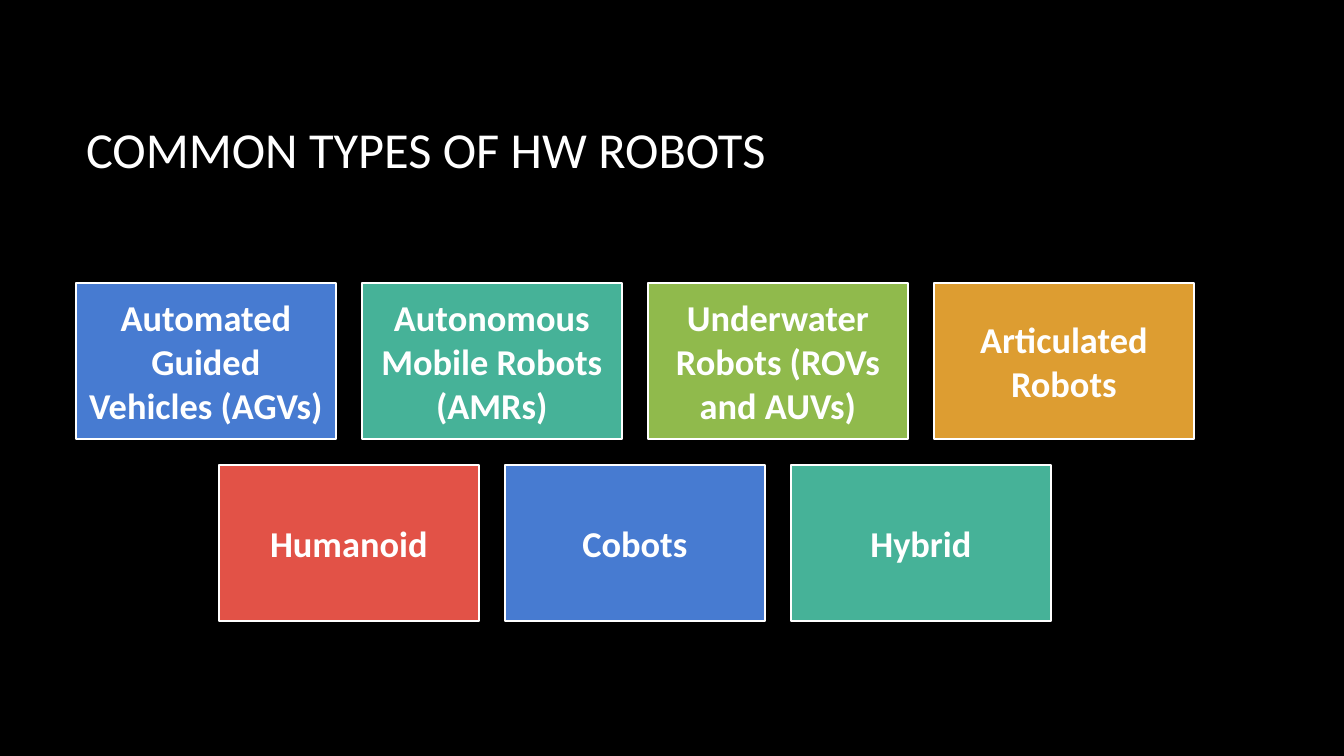
from dataclasses import dataclass
from itertools import cycle

from pptx import Presentation
from pptx import util as u
from pptx.dml.color import RGBColor
from pptx.enum import shapes, text
from pptx.slide import Slide


@dataclass(frozen=True)
class Theme:
    font: str = "Calibri"
    background: str = "000000"
    light: str = "FFFFFF"
    accents: tuple[str, ...] = ("477BD1", "46B298", "90BA4C", "DD9D31", "E25247")
    title_size: int = 36
    tile_size: int = 26
    outline: float = 1.5


@dataclass(frozen=True)
class Tile:
    label: str
    fill: str
    left: int
    top: int


THEME = Theme()
SLIDE_W, SLIDE_H = 1344, 756
MARGIN, CONTENT_W = 76, 1118
TITLE_TOP, TITLE_H = 68, 160
TILE_W, TILE_H, GAP = 260, 156, 26
TILES_TOP, TILE_INSET = 283, 11

ROBOT_ROWS = (
    (
        "Automated Guided Vehicles (AGVs)",
        "Autonomous Mobile Robots (AMRs)",
        "Underwater Robots (ROVs and AUVs)",
        "Articulated Robots",
    ),
    ("Humanoid", "Cobots", "Hybrid"),
)


def px(n: int) -> u.Emu:
    """Convert px to EMU; the slide is 756 px or 7.5 inches high."""
    return u.Emu(round(n * u.Inches(7.5) / SLIDE_H))


def rgb(value: str) -> RGBColor:
    return RGBColor.from_string(value)


def style(p, size: int, bold: bool, align: text.PP_ALIGN) -> None:
    p.alignment = align
    p.font.name = THEME.font
    p.font.size = u.Pt(size)
    p.font.bold = bold
    p.font.color.rgb = rgb(THEME.light)


def layout_tiles() -> list[Tile]:
    """Centre each row of tiles in the content width."""
    accents = cycle(THEME.accents)
    tiles = []
    for row, labels in enumerate(ROBOT_ROWS):
        row_w = len(labels) * (TILE_W + GAP) - GAP
        left = MARGIN + (CONTENT_W - row_w) // 2
        top = TILES_TOP + row * (TILE_H + GAP)
        for col, label in enumerate(labels):
            tiles.append(Tile(label, next(accents), left + col * (TILE_W + GAP), top))
    return tiles


def draw_title(s: Slide, title: str) -> None:
    sp = s.shapes.title
    sp.left, sp.top = px(MARGIN), px(TITLE_TOP)
    sp.width, sp.height = px(CONTENT_W), px(TITLE_H)
    tf = sp.text_frame
    tf.text = title
    tf.vertical_anchor = text.MSO_ANCHOR.MIDDLE
    style(tf.paragraphs[0], THEME.title_size, False, text.PP_ALIGN.LEFT)


def draw_tile(s: Slide, tile: Tile) -> None:
    sp = s.shapes.add_shape(
        shapes.MSO_SHAPE.RECTANGLE,
        px(tile.left), px(tile.top), px(TILE_W), px(TILE_H),
    )
    sp.shadow.inherit = False
    sp.fill.solid()
    sp.fill.fore_color.rgb = rgb(tile.fill)
    sp.line.color.rgb = rgb(THEME.light)
    sp.line.width = u.Pt(THEME.outline)
    tf = sp.text_frame
    tf.word_wrap = True
    tf.vertical_anchor = text.MSO_ANCHOR.MIDDLE
    tf.margin_left = tf.margin_right = px(TILE_INSET)
    tf.margin_top = tf.margin_bottom = px(TILE_INSET)
    tf.text = tile.label
    style(tf.paragraphs[0], THEME.tile_size, True, text.PP_ALIGN.CENTER)


def main() -> None:
    prs = Presentation()
    prs.slide_width, prs.slide_height = px(SLIDE_W), px(SLIDE_H)

    # Title-only slide on a black background
    s = prs.slides.add_slide(prs.slide_layouts[5])
    s.background.fill.solid()
    s.background.fill.fore_color.rgb = rgb(THEME.background)
    draw_title(s, "COMMON TYPES OF HW ROBOTS")

    # Robot type tiles
    for tile in layout_tiles():
        draw_tile(s, tile)

    prs.save("out.pptx")


if __name__ == "__main__":
    main()
